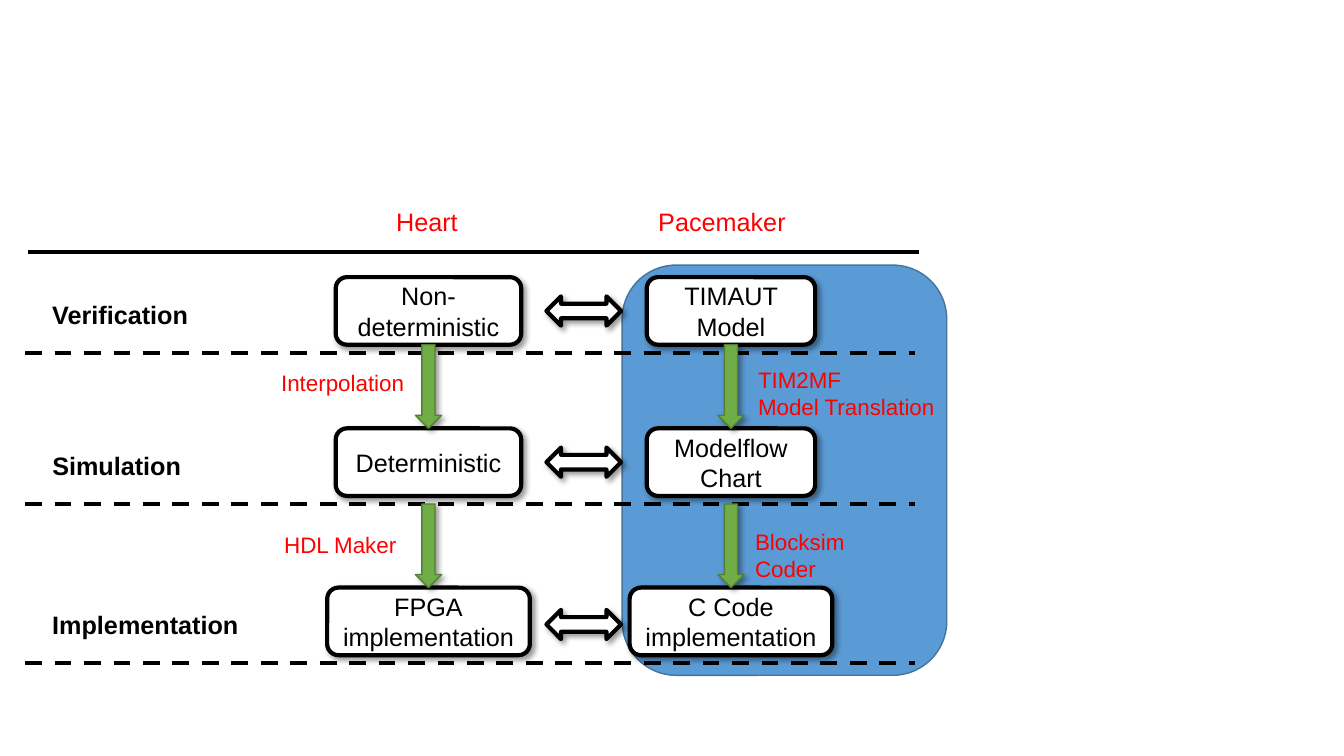
import pptx
import pptx.util
import pptx.oxml
from pptx.dml.color import RGBColor
from pptx.enum.dml import MSO_LINE
from pptx.enum.shapes import MSO_CONNECTOR, MSO_SHAPE
from pptx.enum.text import MSO_ANCHOR, MSO_AUTO_SIZE, PP_ALIGN
from pptx.util import Inches

BLACK = RGBColor(0x00, 0x00, 0x00)
WHITE = RGBColor(0xFF, 0xFF, 0xFF)
RED = RGBColor(0xFF, 0x00, 0x00)
BLUE = RGBColor(0x5B, 0x9B, 0xD5)
NAVY = RGBColor(0x43, 0x73, 0x9E)
GREEN = RGBColor(0x70, 0xAD, 0x47)
MOSS = RGBColor(0x53, 0x80, 0x35)

NS = 'xmlns:a="http://schemas.openxmlformats.org/drawingml/2006/main"'
SHADOW = (f'<a:effectLst {NS}><a:outerShdw blurRad="50800" dist="38100" '
          'dir="2700000" algn="tl" rotWithShape="0"><a:srgbClr val="000000">'
          '<a:alpha val="40000"/></a:srgbClr></a:outerShdw></a:effectLst>')

deck = pptx.Presentation()
deck.slide_width, deck.slide_height = Inches(13.33), Inches(7.5)
slide = deck.slides.add_slide(deck.slide_layouts[6])
shapes = slide.shapes


def add_block(kind, at, fill, edge, width, shade=True):
    block = shapes.add_shape(kind, *map(Inches, at))
    block.shadow.inherit = False
    block.fill.solid()
    block.fill.fore_color.rgb = fill
    block.line.color.rgb = edge
    block.line.width = pptx.util.Pt(width)
    if shade:
        props = block.element.spPr
        props.remove(props[-1])
        props.append(pptx.oxml.parse_xml(SHADOW))
    return block


def set_text(frame, text, size, color, bold=False, align=PP_ALIGN.LEFT):
    frame.text = text
    for para in frame.paragraphs:
        para.alignment = align
        para.font.name = "Arial"
        para.font.size = pptx.util.Pt(size)
        para.font.bold = bold
        para.font.color.rgb = color


# Pacemaker panel
add_block(MSO_SHAPE.ROUNDED_RECTANGLE, (6.17, 2.63, 3.22, 4.07),
          BLUE, NAVY, 1, shade=False)

# Header rule and dashed row rules
for left, top, dash in [(0.28, 2.5, None), (0.25, 3.5, MSO_LINE.DASH),
                        (0.25, 5, MSO_LINE.DASH), (0.25, 6.58, MSO_LINE.DASH)]:
    rule = shapes.add_connector(MSO_CONNECTOR.STRAIGHT, Inches(left), Inches(top),
                                Inches(left + 8.83), Inches(top))
    rule.line.color.rgb = BLACK
    rule.line.width = pptx.util.Pt(3)
    rule.line.dash_style = dash
    rule.element.spPr.append(pptx.oxml.parse_xml(f"<a:effectLst {NS}/>"))

# Model boxes: heart and pacemaker, one pair per row
HEART, PACER = 4.25, 7.25
ROWS = [
    (2.75, 2.94, ("Non-deterministic", 1.84), ("TIMAUT Model", 1.67)),
    (4.25, 4.44, ("Deterministic", 1.84), ("Modelflow\nChart", 1.67)),
    (5.83, 6.05, ("FPGA\nimplementation", 2.01), ("C Code\nimplementation", 2.01)),
]
for top, swap, heart, pacer in ROWS:
    for mid, (text, width) in [(HEART, heart), (PACER, pacer)]:
        box = add_block(MSO_SHAPE.ROUNDED_RECTANGLE,
                        (mid - width / 2, top, width, 0.67), WHITE, BLACK, 3)
        box.text_frame.vertical_anchor = MSO_ANCHOR.MIDDLE
        set_text(box.text_frame, text, 18, BLACK, align=PP_ALIGN.CENTER)
    add_block(MSO_SHAPE.LEFT_RIGHT_ARROW, (5.42, swap, 0.74, 0.29), WHITE, BLACK, 3)

# Down arrows between the rows
for mid in (HEART, PACER):
    for top in (3.42, 5):
        add_block(MSO_SHAPE.DOWN_ARROW, (mid - 0.13, top, 0.26, 0.83), GREEN, MOSS, 1)

# Row names, column heads and step labels
LABELS = [
    ("Verification", (0.42, 2.92, 1.56, 0.4), 18, BLACK, True),
    ("Simulation", (0.42, 4.42, 1.49, 0.4), 18, BLACK, True),
    ("Implementation", (0.42, 6, 2.07, 0.4), 18, BLACK, True),
    ("Heart", (3.83, 2, 0.82, 0.4), 18, RED, False),
    ("Pacemaker", (6.43, 2, 1.48, 0.4), 18, RED, False),
    ("Interpolation", (2.69, 3.61, 1.44, 0.37), 16, RED, False),
    ("HDL Maker", (2.72, 5.22, 1.31, 0.37), 16, RED, False),
    ("TIM2MF\nModel Translation", (7.42, 3.58, 1.97, 0.64), 16, RED, False),
    ("Blocksim Coder", (7.39, 5.19, 1.72, 0.37), 16, RED, False),
]
for text, at, size, color, bold in LABELS:
    label = shapes.add_textbox(*map(Inches, at))
    label.text_frame.word_wrap = False
    label.text_frame.auto_size = MSO_AUTO_SIZE.SHAPE_TO_FIT_TEXT
    set_text(label.text_frame, text, size, color, bold)

deck.save("out.pptx")
